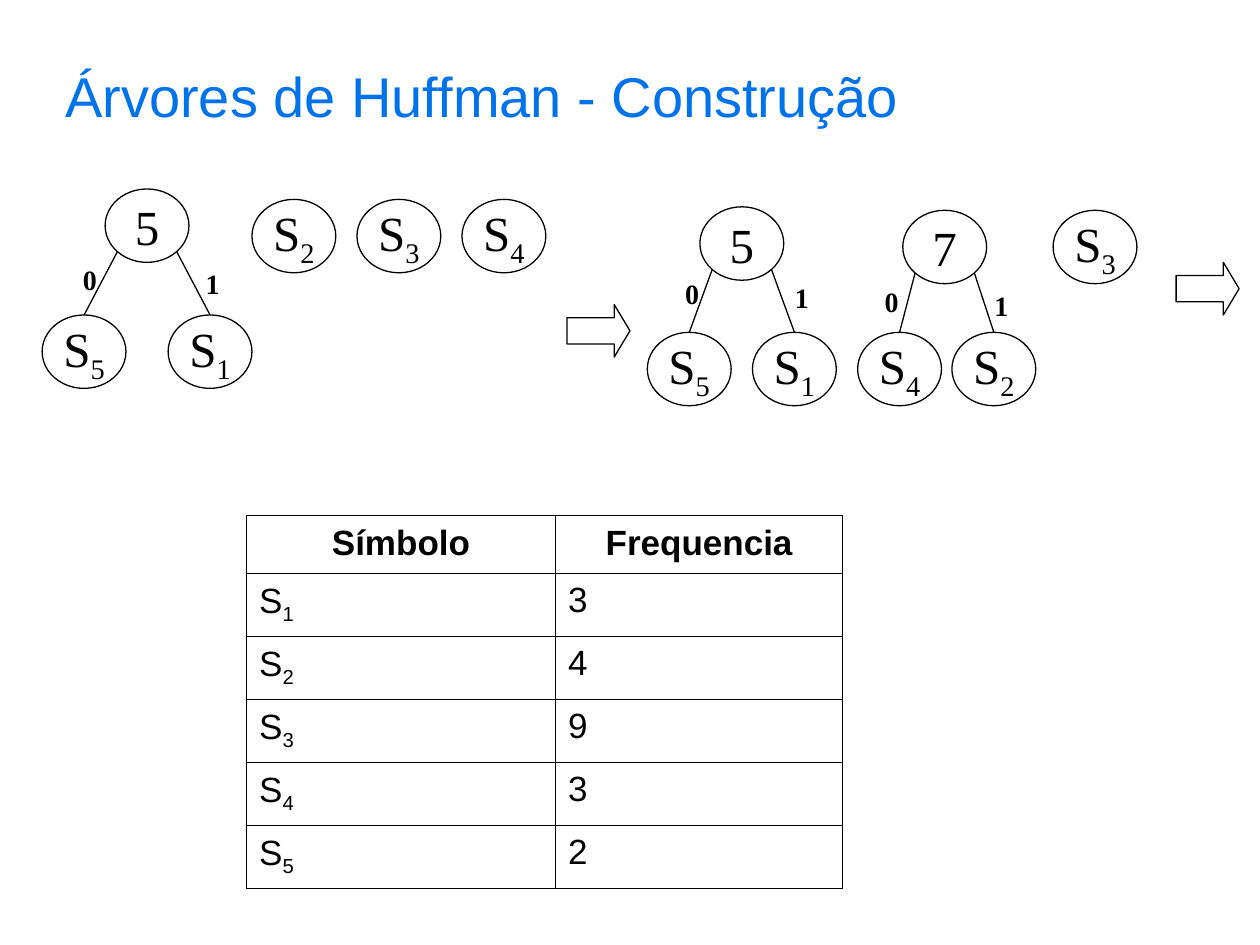
from dataclasses import dataclass
from math import sqrt

from lxml.etree import SubElement
from pptx import Presentation
from pptx.dml.color import RGBColor
from pptx.enum.shapes import MSO_CONNECTOR as Connector, MSO_SHAPE as Preset
from pptx.enum.text import MSO_ANCHOR as Anchor, MSO_AUTO_SIZE as AutoSize, PP_ALIGN as Align
from pptx.oxml.ns import qn
from pptx.util import Cm, Pt


@dataclass(frozen=True)
class Theme:
    ink: RGBColor = RGBColor(0x00, 0x00, 0x00)
    accent: RGBColor = RGBColor(0x00, 0x72, 0xEA)
    sans: str = "Arial"
    serif: str = "Times New Roman"
    title_size: float = 32
    node_size: float = 28
    table_size: float = 20
    bit_size: float = 16
    line_width: float = 0.75
    border_width: float = 0.45


@dataclass(frozen=True)
class Node:
    text: str
    left: float
    top: float


@dataclass(frozen=True)
class Tree:
    root: Node
    zero: Node
    one: Node
    zero_bit_left: float
    one_bit_left: float
    bit_top: float


THEME = Theme()
NODE_WIDTH, NODE_HEIGHT = 1.69, 1.48
BIT_WIDTH, BIT_HEIGHT, BIT_STEP = 0.79, 0.94, 0.08
ARROW_WIDTH, ARROW_HEIGHT = 1.27, 1.06

TREES = [
    Tree(Node("5", 2.12, 3.81), Node("S5", 0.85, 6.35), Node("S1", 3.39, 6.35), 1.42, 3.89, 5.16),
    Tree(Node("5", 14.11, 4.17), Node("S5", 13.05, 6.7), Node("S1", 15.17, 6.7), 13.56, 15.77, 5.46),
    Tree(Node("7", 18.2, 4.24), Node("S4", 17.29, 6.7), Node("S2", 19.19, 6.7), 17.58, 19.79, 5.61),
]
LOOSE_NODES = [
    *(Node(f"S{index + 2}", 5.08 + 2.117 * index, 4.02) for index in range(3)),
    Node("S3", 21.23, 4.24),
]
STEP_ARROWS = [(11.43, 6.14), (23.71, 5.29)]
FREQUENCIES = [
    ("Símbolo", "Frequencia"),
    ("S1", "3"),
    ("S2", "4"),
    ("S3", "9"),
    ("S4", "3"),
    ("S5", "2"),
]
COLUMN_WIDTHS = (6.23, 5.79)
HEADER_HEIGHT, ROW_HEIGHT = 1.16, 1.27


def style_font(paragraph, face: str, size: float, color: RGBColor = THEME.ink, bold: bool = False) -> None:
    font = paragraph.font
    font.name, font.size, font.bold = face, Pt(size), bold
    font.color.rgb = color


def write_symbol(paragraph, text: str) -> None:
    is_symbol = text[0] == "S" and text[1:].isdigit()
    if not is_symbol:
        paragraph.add_run().text = text
        return
    paragraph.add_run().text = text[0]
    subscript = paragraph.add_run()
    subscript.text = text[1:]
    subscript.font._element.set("baseline", "-25000")


def draw_outline(slide, preset, left: float, top: float, width: float, height: float):
    outline = slide.shapes.add_shape(preset, Cm(left), Cm(top), Cm(width), Cm(height))
    outline.shadow.inherit = False
    outline.fill.background()
    outline.line.color.rgb = THEME.ink
    outline.line.width = Pt(THEME.line_width)
    return outline


def draw_node(slide, node: Node) -> None:
    ellipse = draw_outline(slide, Preset.OVAL, node.left, node.top, NODE_WIDTH, NODE_HEIGHT)
    frame = ellipse.text_frame
    frame.word_wrap = False
    frame.vertical_anchor = Anchor.MIDDLE
    paragraph = frame.paragraphs[0]
    paragraph.alignment = Align.CENTER
    style_font(paragraph, THEME.serif, THEME.node_size)
    write_symbol(paragraph, node.text)


def draw_branch(slide, root: Node, leaf: Node, side: int) -> None:
    reach = 1 / sqrt(2)
    branch = slide.shapes.add_connector(
        Connector.STRAIGHT,
        Cm(root.left + NODE_WIDTH / 2 * (1 + side * reach)),
        Cm(root.top + NODE_HEIGHT / 2 * (1 + reach)),
        Cm(leaf.left + NODE_WIDTH / 2),
        Cm(leaf.top),
    )
    branch.line.color.rgb = THEME.ink
    branch.line.width = Pt(THEME.line_width)
    SubElement(branch._element.spPr, qn("a:effectLst"))


def draw_bit(slide, bit: str, left: float, top: float) -> None:
    label = slide.shapes.add_textbox(Cm(left), Cm(top), Cm(BIT_WIDTH), Cm(BIT_HEIGHT))
    frame = label.text_frame
    frame.word_wrap = False
    frame.auto_size = AutoSize.SHAPE_TO_FIT_TEXT
    paragraph = frame.paragraphs[0]
    paragraph.text = bit
    paragraph.alignment = Align.CENTER
    style_font(paragraph, THEME.serif, THEME.bit_size, bold=True)


def draw_tree(slide, tree: Tree) -> None:
    for node in (tree.root, tree.zero, tree.one):
        draw_node(slide, node)
    draw_branch(slide, tree.root, tree.zero, -1)
    draw_branch(slide, tree.root, tree.one, 1)
    draw_bit(slide, "0", tree.zero_bit_left, tree.bit_top)
    draw_bit(slide, "1", tree.one_bit_left, tree.bit_top + BIT_STEP)


def border_cell(cell) -> None:
    properties = cell._tc.get_or_add_tcPr()
    for position, side in enumerate(("a:lnL", "a:lnR", "a:lnT", "a:lnB")):
        border = properties.makeelement(qn(side), {"w": str(Pt(THEME.border_width))})
        properties.insert(position, border)
        fill = SubElement(border, qn("a:solidFill"))
        SubElement(fill, qn("a:srgbClr"), val=str(THEME.ink))


def draw_frequencies(slide) -> None:
    height = HEADER_HEIGHT + ROW_HEIGHT * (len(FREQUENCIES) - 1)
    table = slide.shapes.add_table(
        len(FREQUENCIES), len(COLUMN_WIDTHS), Cm(4.97), Cm(10.39), Cm(sum(COLUMN_WIDTHS)), Cm(height)
    ).table
    table.horz_banding = False
    for column, width in zip(table.columns, COLUMN_WIDTHS):
        column.width = Cm(width)
    for index, (row, values) in enumerate(zip(table.rows, FREQUENCIES)):
        is_header = index == 0
        row.height = Cm(HEADER_HEIGHT if is_header else ROW_HEIGHT)
        for cell, value in zip(row.cells, values):
            cell.fill.background()
            border_cell(cell)
            paragraph = cell.text_frame.paragraphs[0]
            paragraph.alignment = Align.CENTER if is_header else Align.LEFT
            paragraph.line_spacing = 1.05
            paragraph.space_before = paragraph.space_after = Pt(12.5)
            style_font(paragraph, THEME.sans, THEME.table_size, bold=is_header)
            write_symbol(paragraph, value)


def draw_title(slide) -> None:
    title = slide.shapes.title
    title.left, title.top, title.width, title.height = Cm(1.06), Cm(1.27), Cm(21.51), Cm(2.69)
    frame = title.text_frame
    frame.auto_size = AutoSize.NONE
    frame.vertical_anchor = Anchor.TOP
    paragraph = frame.paragraphs[0]
    paragraph.text = "Árvores de Huffman - Construção"
    paragraph.alignment = Align.LEFT
    paragraph.line_spacing = 0.9
    style_font(paragraph, THEME.sans, THEME.title_size, THEME.accent)


def main() -> None:
    deck = Presentation()
    deck.slide_width, deck.slide_height = Cm(25.4), Cm(19.05)
    slide = deck.slides.add_slide(deck.slide_layouts[5])
    draw_title(slide)
    for left, top in STEP_ARROWS:
        arrow = draw_outline(slide, Preset.RIGHT_ARROW, left, top, ARROW_WIDTH, ARROW_HEIGHT)
        arrow.adjustments[0], arrow.adjustments[1] = 0.5, 0.3
    for node in LOOSE_NODES:
        draw_node(slide, node)
    for tree in TREES:
        draw_tree(slide, tree)
    draw_frequencies(slide)
    deck.save("out.pptx")


if __name__ == "__main__":
    main()
